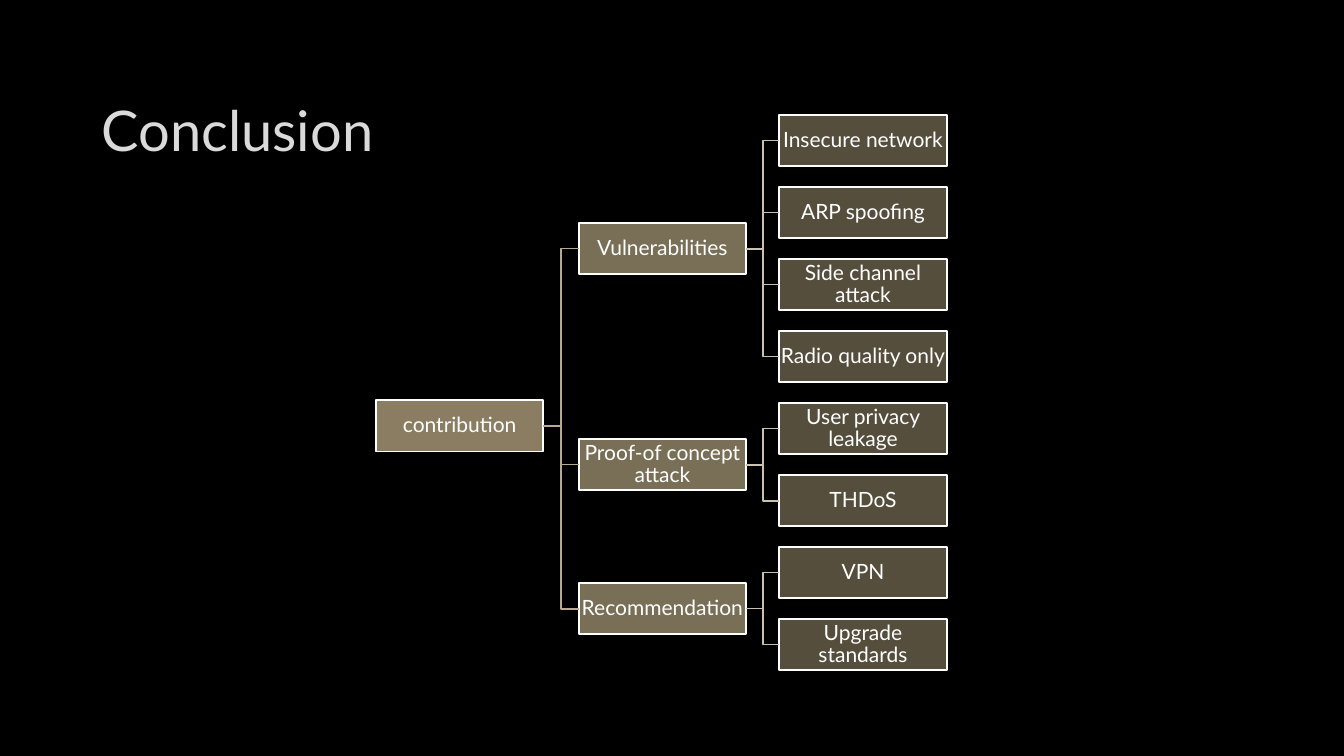
import pptx
import pptx.dml.color
import pptx.enum.dml
import pptx.enum.shapes
import pptx.enum.text
import pptx.oxml.ns
import pptx.util
from lxml import etree

Inches = pptx.util.Inches
Pt = pptx.util.Pt
RGBColor = pptx.dml.color.RGBColor
PP_ALIGN = pptx.enum.text.PP_ALIGN

BLACK = RGBColor(0x00, 0x00, 0x00)
WHITE = RGBColor(0xFF, 0xFF, 0xFF)
TITLE_GREY = RGBColor(0xDA, 0xDA, 0xDA)
TAN = RGBColor(0xAD, 0x9D, 0x7B)
ROOT_LINE = RGBColor(0xB7, 0xAA, 0x90)
BRANCH_LINE = RGBColor(0xCA, 0xC1, 0xB1)

FONT = "Lato"
LINE_WIDTH = Pt(1.25)
BOX_WIDTH, BOX_HEIGHT = 1.66, 0.51
ROOT_LEFT, BRANCH_LEFT, LEAF_LEFT = 3.73, 5.74, 7.73
ROOT_TOP = 3.97
FIRST_LEAF_TOP = 1.14
LEAF_PITCH = 5 / 7

BRANCHES = [
    ("Vulnerabilities", ["Insecure network", "ARP spoofing",
                         "Side channel attack", "Radio quality only"]),
    ("Proof-of concept attack", ["User privacy leakage", "THDoS"]),
    ("Recommendation", ["VPN", "Upgrade standards"]),
]


def set_text(tf, text, size, color, align, inset=None, spacing=None):
    tf.word_wrap = True
    tf.auto_size = pptx.enum.text.MSO_AUTO_SIZE.NONE
    tf.vertical_anchor = pptx.enum.text.MSO_ANCHOR.MIDDLE
    if inset is not None:
        tf.margin_left = tf.margin_right = Inches(inset)
        tf.margin_top = tf.margin_bottom = Inches(inset)
    p = tf.paragraphs[0]
    p.alignment = align
    p.line_spacing = spacing
    r = p.add_run()
    r.text = text
    r.font.name = FONT
    r.font.size = Pt(size)
    r.font.color.rgb = color


def add_title(slide, text):
    sp = slide.shapes.title
    sp.left, sp.top = Inches(0.91), Inches(0.75)
    sp.width, sp.height = Inches(11.32), Inches(1.06)
    set_text(sp.text_frame, text, size=40, color=TITLE_GREY, align=PP_ALIGN.LEFT)


def add_box(slide, text, left, top, opacity):
    sp = slide.shapes.add_shape(
        pptx.enum.shapes.MSO_SHAPE.RECTANGLE,
        Inches(left), Inches(top), Inches(BOX_WIDTH), Inches(BOX_HEIGHT))
    sp.shadow.inherit = False
    sp.fill.solid()
    sp.fill.fore_color.rgb = TAN
    qn = pptx.oxml.ns.qn
    color = sp.fill._xPr.find(qn("a:solidFill")).find(qn("a:srgbClr"))
    etree.SubElement(color, qn("a:alpha")).set("val", str(opacity * 1000))
    sp.line.color.rgb = WHITE
    sp.line.width = LINE_WIDTH
    set_text(sp.text_frame, text, size=15, color=WHITE, align=PP_ALIGN.CENTER,
             inset=0.01, spacing=0.9)
    return sp


def add_link(slide, parent, child, color):
    link = slide.shapes.add_connector(
        pptx.enum.shapes.MSO_CONNECTOR.ELBOW,
        parent.left + parent.width, parent.top + parent.height // 2,
        child.left, child.top + child.height // 2)
    link.begin_connect(parent, 3)
    link.end_connect(child, 1)
    link.line.color.rgb = color
    link.line.width = LINE_WIDTH
    etree.SubElement(link._element.spPr, pptx.oxml.ns.qn("a:effectLst"))


def add_tree(slide):
    root = add_box(slide, "contribution", ROOT_LEFT, ROOT_TOP, 80)
    row = 0
    for name, leaves in BRANCHES:
        middle_row = row + (len(leaves) - 1) / 2
        branch = add_box(slide, name, BRANCH_LEFT,
                         FIRST_LEAF_TOP + middle_row * LEAF_PITCH, 70)
        add_link(slide, root, branch, ROOT_LINE)
        for text in leaves:
            leaf = add_box(slide, text, LEAF_LEFT,
                           FIRST_LEAF_TOP + row * LEAF_PITCH, 50)
            add_link(slide, branch, leaf, BRANCH_LINE)
            row += 1


def main():
    prs = pptx.Presentation()
    prs.slide_width, prs.slide_height = Inches(13.33), Inches(7.5)
    slide = prs.slides.add_slide(prs.slide_layouts[5])
    slide.background.fill.solid()
    slide.background.fill.fore_color.rgb = BLACK
    add_title(slide, "Conclusion")
    add_tree(slide)
    prs.save("out.pptx")


if __name__ == "__main__":
    main()
